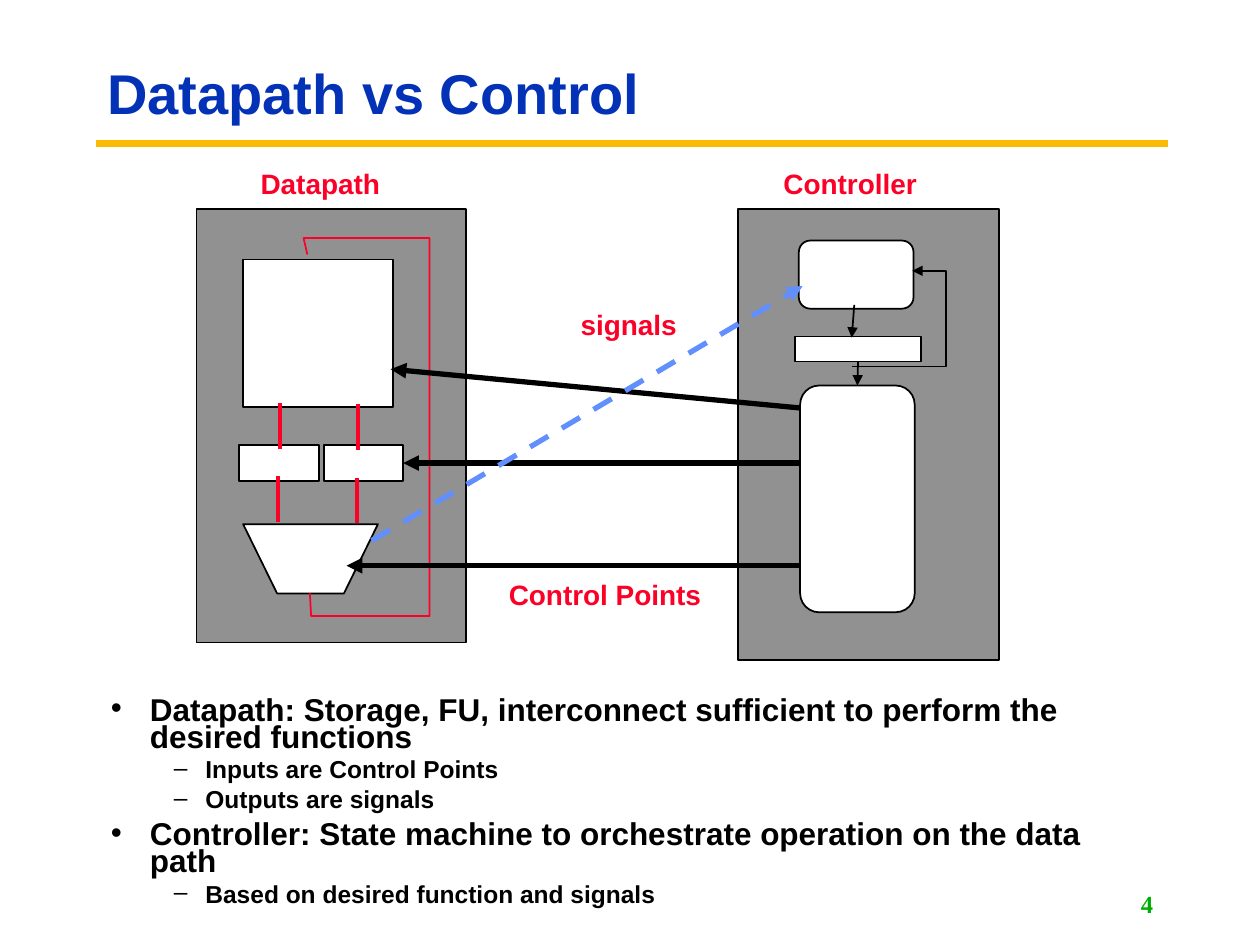
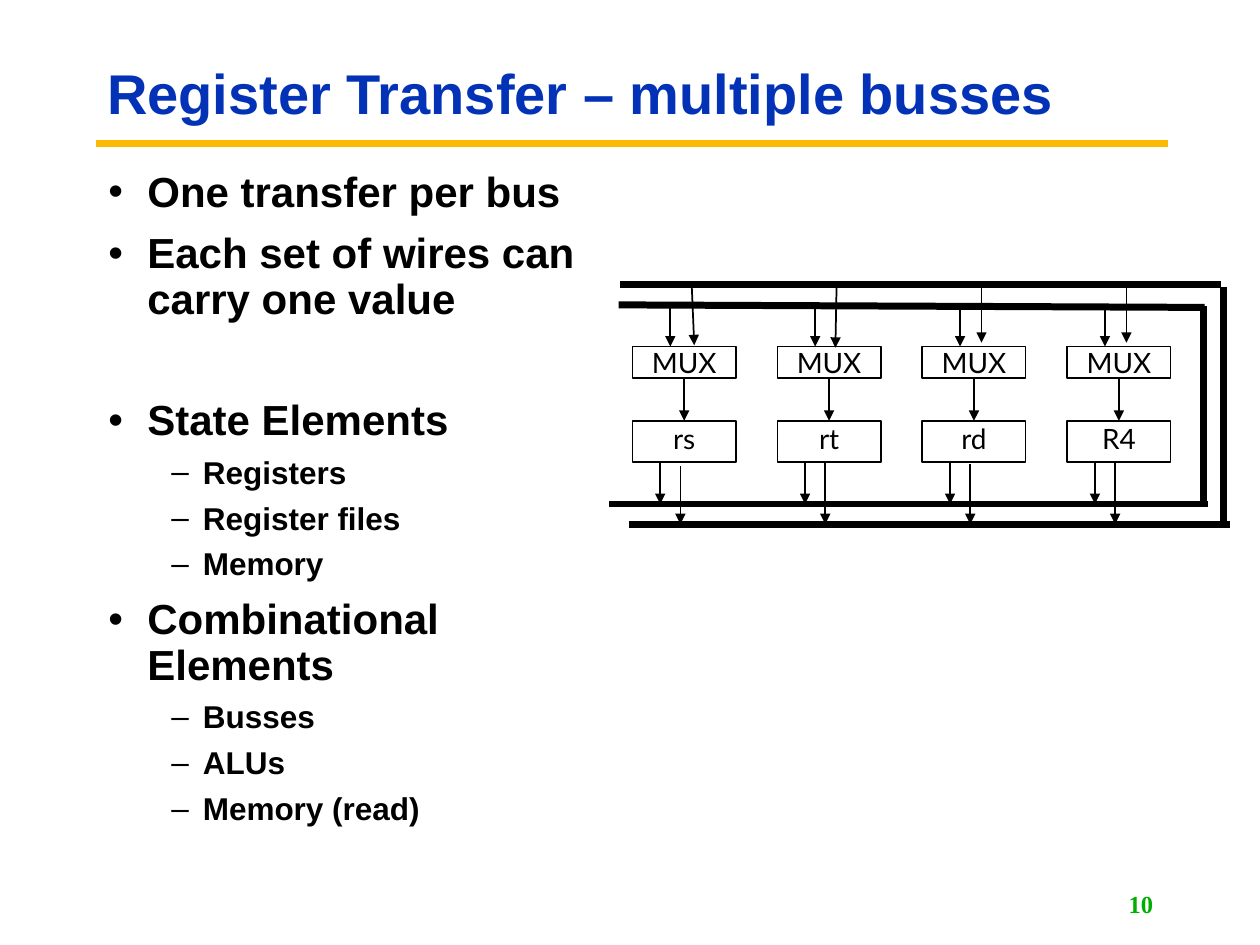
from lxml.etree import SubElement
from pptx import Presentation
from pptx.dml.color import RGBColor
from pptx.enum.dml import MSO_LINE
from pptx.enum.shapes import MSO_CONNECTOR, MSO_SHAPE as SHAPE
from pptx.enum.text import MSO_ANCHOR as ANCHOR, MSO_AUTO_SIZE as FIT, PP_ALIGN as ALIGN
from pptx.oxml.ns import qn
from pptx.util import Inches, Pt

# Shared style
BLUE, GOLD, RED, GREEN = "0332B7", "FBBA03", "FC0128", "00AE00"
BLACK, WHITE, GREY, SKY = "000000", "FFFFFF", "919191", "618FFD"
COLS, ROWS = 100, 75


def color(hex_code):
    return RGBColor.from_string(hex_code)


def write(p, text, size=16, font="Arial", ink=BLACK, bold=True,
          align=ALIGN.LEFT, spacing=None, before=None):
    """Put one formatted run of text into paragraph p."""
    p.alignment = align
    if spacing is not None:
        p.line_spacing = spacing
    if before is not None:
        p.space_before = Pt(before)
    r = p.add_run()
    r.text = text
    r.font.size, r.font.name, r.font.bold = Pt(size), font, bold
    r.font.color.rgb = color(ink)


def bullet(p, char, margin, hang):
    pPr = p._p.get_or_add_pPr()
    pPr.set("marL", str(Inches(margin)))
    pPr.set("indent", str(-Inches(hang)))
    clr = SubElement(pPr, qn("a:buClr"))
    SubElement(clr, qn("a:srgbClr"), val=BLACK)
    SubElement(pPr, qn("a:buFont"), typeface="Arial")
    SubElement(pPr, qn("a:buChar"), char=char)


def arrowhead(line):
    SubElement(line._get_or_add_ln(), qn("a:tailEnd"), type="triangle")


class Deck:
    """Holds the presentation, its grid and the current slide."""

    def __init__(self):
        self.prs = Presentation()
        self.prs.slide_width, self.prs.slide_height = Inches(10), Inches(7.5)
        self.s = None

    def x(self, cols):
        return round(self.prs.slide_width * cols / COLS)

    def y(self, rows):
        return round(self.prs.slide_height * rows / ROWS)

    def box(self, x, y, w, h):
        return self.x(x), self.y(y), self.x(w), self.y(h)

    def place(self, sp, x, y, w, h):
        sp.left, sp.top, sp.width, sp.height = self.box(x, y, w, h)

    def slide(self, title, number):
        self.s = self.prs.slides.add_slide(self.prs.slide_layouts[1])
        self.line(7.6, 11.4, 92.7, 11.4, GOLD, 3.75)
        sp = self.s.shapes.title
        self.place(sp, 7.5, 3.6, 79.8, 8.1)
        tf = sp.text_frame
        tf.vertical_anchor, tf.auto_size = ANCHOR.MIDDLE, FIT.NONE
        write(tf.paragraphs[0], title, size=32, ink=BLUE, spacing=0.9)
        self.label(number, 71.7, 70.1, 20.8, 3.2, wrap=True, size=14,
                   font="Times New Roman", ink=GREEN, align=ALIGN.RIGHT)

    def bullets(self, items, area, sizes, befores, spacing):
        """items: (level, text) or (level, text, space before)."""
        sp = self.s.placeholders[1]
        self.place(sp, *area)
        tf = sp.text_frame
        tf.auto_size = FIT.NONE
        for i, (level, text, *gap) in enumerate(items):
            p = tf.add_paragraph() if i else tf.paragraphs[0]
            p.level = level
            write(p, text, size=sizes[level], spacing=spacing,
                  before=gap[0] if gap else befores[level])
            bullet(p, *(("•", 0.31, 0.31), ("–", 0.75, 0.25))[level])

    def label(self, text, x, y, w, h, wrap=False, **fmt):
        """A text box; without wrap it grows to hold its one line."""
        tf = self.s.shapes.add_textbox(*self.box(x, y, w, h)).text_frame
        tf.word_wrap, tf.vertical_anchor = wrap, ANCHOR.MIDDLE
        tf.auto_size = FIT.NONE if wrap else FIT.SHAPE_TO_FIT_TEXT
        write(tf.paragraphs[0], text, **fmt)

    def finish(self, sp, fill, ink):
        sp.shadow.inherit = False
        if fill:
            sp.fill.solid()
            sp.fill.fore_color.rgb = color(fill)
        else:
            sp.fill.background()
        sp.line.color.rgb, sp.line.width = color(ink), Pt(1)
        return sp

    def block(self, x, y, w, h, fill=WHITE, kind=SHAPE.RECTANGLE):
        sp = self.s.shapes.add_shape(kind, *self.box(x, y, w, h))
        return self.finish(sp, fill, BLACK)

    def caption(self, sp, text, top):
        """Centred text inside a block, starting top inches below its edge."""
        tf = sp.text_frame
        tf.word_wrap, tf.vertical_anchor = False, ANCHOR.TOP
        tf.margin_top, tf.margin_bottom = Inches(top), 0
        tf.margin_left = tf.margin_right = Inches(0.02)
        write(tf.paragraphs[0], text, font="Lato", bold=False,
              align=ALIGN.CENTER, spacing=Pt(17.7))

    def outline(self, points, fill=None, ink=BLACK, closed=False, arrow=False):
        pts = [(self.x(x), self.y(y)) for x, y in points]
        fb = self.s.shapes.build_freeform(*pts[0])
        fb.add_line_segments(pts[1:], close=closed)
        sp = self.finish(fb.convert_to_shape(), fill, ink)
        if arrow:
            arrowhead(sp.line)

    def line(self, x1, y1, x2, y2, ink=BLACK, width=1, arrow=False,
             dash=False, begin=None, end=None):
        """begin and end are (shape, site) pairs to join to."""
        cx = self.s.shapes.add_connector(
            MSO_CONNECTOR.STRAIGHT,
            self.x(x1), self.y(y1), self.x(x2), self.y(y2))
        if begin:
            cx.begin_connect(*begin)
        if end:
            cx.end_connect(*end)
        cx.line.color.rgb, cx.line.width = color(ink), Pt(width)
        if dash:
            cx.line.dash_style = MSO_LINE.DASH
        if arrow:
            arrowhead(cx.line)
        SubElement(cx._element.spPr, qn("a:effectLst"))


def datapath_slide(d):
    d.slide("Datapath vs Control", "4")
    d.bullets([
        (0, "Datapath: Storage, FU, interconnect sufficient to perform the desired functions"),
        (1, "Inputs are Control Points"),
        (1, "Outputs are signals"),
        (0, "Controller: State machine to orchestrate operation on the data path"),
        (1, "Based on desired function and signals"),
    ], (7.8, 55.1, 83.9, 18.5), sizes=(18, 14), befores=(6.8, 5.2), spacing=0.7)

    # Datapath: storage, two operand registers and the functional unit
    d.block(15.6, 16.6, 21.4, 34.4, GREY)
    d.block(19.3, 20.6, 11.9, 11.7)
    d.block(19, 35.3, 6.3, 2.9)
    operand = d.block(25.7, 35.3, 6.3, 2.9)
    d.outline([(19.3, 41.6), (30, 41.6), (27.3, 47.1), (22, 47.1)],
              WHITE, closed=True)
    for x, y in ((22.2, 32), (28.4, 32.1), (22.1, 37.8), (28.3, 37.9)):
        d.line(x, y, x, y + 3.6, RED, 2.25)
    d.outline([(24.6, 47.1), (24.7, 48.9), (34.1, 48.9), (34.1, 18.9),
               (24.1, 18.9), (24.4, 20.2)], ink=RED)

    # Control points
    d.block(58.6, 16.6, 20.7, 35.8, GREY)
    d.line(63.7, 32.4, 31, 29.3, width=3, arrow=True)
    d.line(63.6, 36.75, 32, 36.75, width=3, arrow=True, end=(operand, 3))
    d.line(63.6, 44.9, 27.5, 44.9, width=3, arrow=True)

    # Controller: next state, state register, control logic
    state = d.block(63.1, 26.7, 10, 2)
    d.block(63.4, 19.1, 9.1, 5.4, kind=SHAPE.ROUNDED_RECTANGLE)
    logic = d.block(63.5, 30.6, 9.1, 18, kind=SHAPE.ROUNDED_RECTANGLE)
    d.line(67.8, 24.2, 67.6, 26.8, arrow=True)
    d.line(67.8, 28.7, 67.8, 30.6, arrow=True, begin=(state, 2), end=(logic, 0))
    d.outline([(67.6, 29.1), (75.1, 29.1), (75.1, 21.5), (72.4, 21.5)],
              arrow=True)

    # Signals and labels
    d.line(29.5, 42.9, 63.7, 22.7, SKY, 3, arrow=True, dash=True)
    for text, x, y, w in (("Datapath", 19.7, 12.7, 11.6),
                          ("Controller", 61.2, 12.7, 12.7),
                          ("Control Points", 39.4, 45.3, 17.4),
                          ("signals", 45.1, 23.9, 9.8)):
        d.label(text, x, y, w, 3.7, ink=RED)


def busses_slide(d):
    d.slide("Register Transfer – multiple busses", "10")
    d.bullets([
        (0, "One transfer per bus"),
        (0, "Each set of wires can carry one value"),
        (0, "State Elements", 43.7),
        (1, "Registers"),
        (1, "Register files"),
        (1, "Memory"),
        (0, "Combinational Elements"),
        (1, "Busses"),
        (1, "ALUs"),
        (1, "Memory (read)"),
    ], (7.6, 13.1, 39.8, 53.9), sizes=(24, 18), befores=(9, 6.8), spacing=0.9)

    # Inner bus, then outer bus
    for wire in ((95.5, 39.8, 95.5, 24.3), (95.6, 24.4, 49.1, 24.2),
                 (95.9, 40, 48.3, 40), (96.9, 22.6, 49.2, 22.6),
                 (97.6, 41.6, 49.9, 41.6), (97.1, 41.5, 97.1, 22.8)):
        d.line(*wire, width=4)

    # One MUX and register per column: name, outer drop lean and tip, tap start
    columns = (("rs", 0.2, 27.4, 37), ("rt", -0.1, 27.6, 36.6),
               ("rd", 0, 27.2, 36.8), ("R4", 0, 27.2, 36.6))
    for i, (name, lean, tip, tap) in enumerate(columns):
        left = 50.2 + 11.5 * i
        mux = d.block(left, 27.5, 8.2, 2.5, None)
        d.caption(mux, "MUX", 0.01)
        register = d.block(left, 33.4, 8.2, 3.3, None)
        d.caption(register, name, 0.03)
        d.line(left + 4.1, 30, left + 4.1, 33.4, arrow=True,
               begin=(mux, 2), end=(register, 0))
        for dx, y1, slant, y2 in ((3, 24.2, 0, 27.5), (4.7, 22.6, lean, tip),
                                  (2.2, 36.7, 0, 40), (3.8, tap, 0, 41.6)):
            d.line(left + dx, y1, left + dx + slant, y2, arrow=True)


def main():
    d = Deck()
    datapath_slide(d)
    busses_slide(d)
    d.prs.save("out.pptx")


if __name__ == "__main__":
    main()
